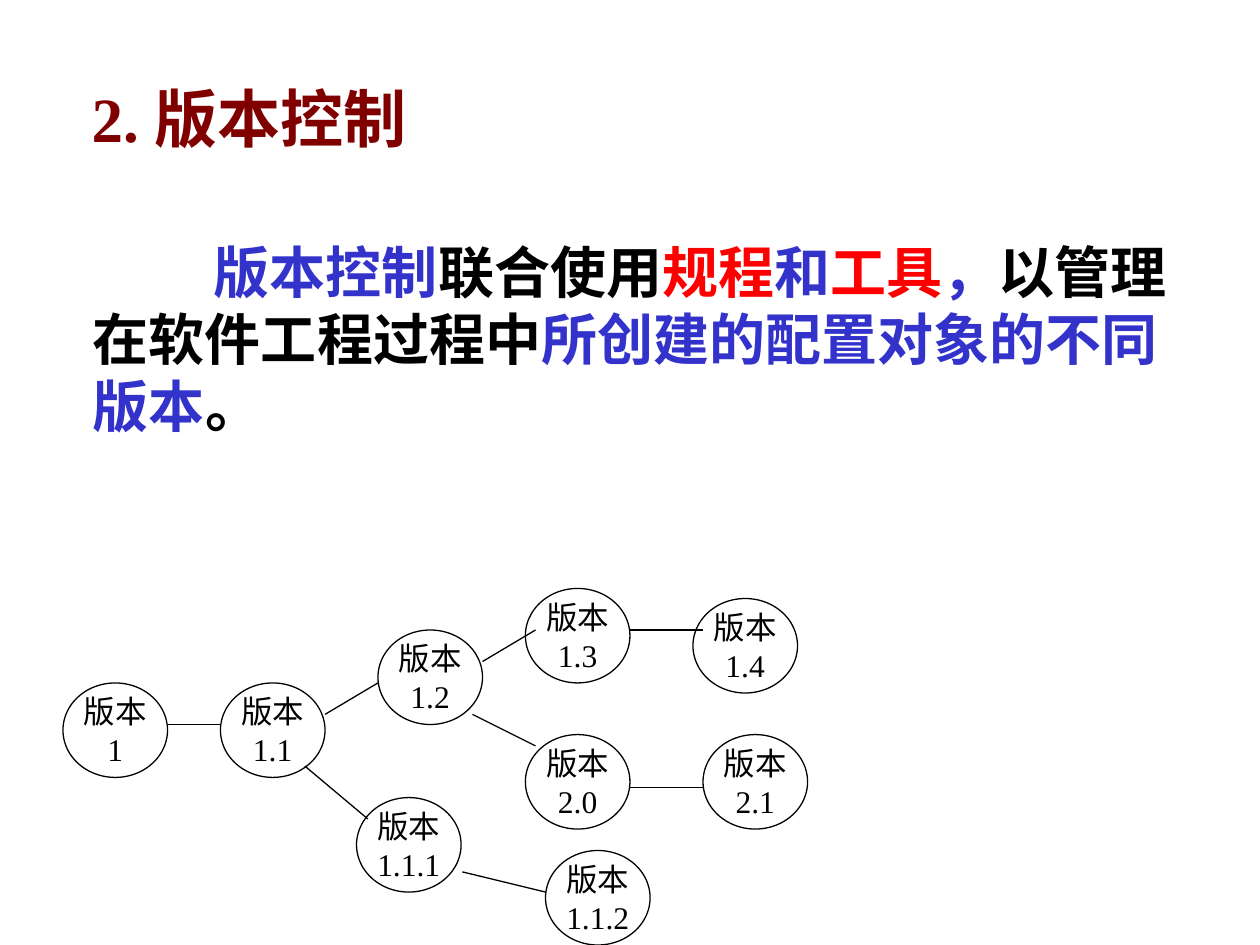
"""Build the version control slide with its version tree."""
from dataclasses import dataclass

from pptx import Presentation
from pptx.dml.color import RGBColor
from pptx.enum.shapes import MSO_CONNECTOR as Connector, MSO_SHAPE as Shape
from pptx.enum.text import MSO_ANCHOR as Anchor, PP_ALIGN as Align
from pptx.oxml.ns import qn
from pptx.util import Inches, Pt
from lxml.etree import SubElement


@dataclass(frozen=True)
class Theme:
    font: str = "Times New Roman"
    title_size: int = 36
    body_size: int = 32
    node_size: int = 18
    line_width: float = 0.75
    maroon: RGBColor = RGBColor(0x80, 0x00, 0x00)
    blue: RGBColor = RGBColor(0x33, 0x33, 0xCC)
    red: RGBColor = RGBColor(0xFF, 0x00, 0x00)
    black: RGBColor = RGBColor(0x00, 0x00, 0x00)
    white: RGBColor = RGBColor(0xFF, 0xFF, 0xFF)


THEME = Theme()
TITLE = [("2. 版本控制", THEME.maroon)]
BODY = [
    ("版本控制", THEME.blue),
    ("联合使用", THEME.black),
    ("规程", THEME.red),
    ("和", THEME.blue),
    ("工具", THEME.red),
    ("，", THEME.blue),
    ("以管理在软件工程过程中", THEME.black),
    ("所创建的配置对象的不同版本", THEME.blue),
    ("。", THEME.black),
]
NODE_LABEL = "版本"
NODE_SIZE = (0.83, 0.75)
VERSIONS = {
    "1.1.1": (2.83, 6.33),
    "1.1": (1.75, 5.42),
    "1": (0.5, 5.42),
    "1.1.2": (4.33, 6.75),
    "1.2": (3, 5),
    "1.4": (5.5, 4.75),
    "1.3": (4.17, 4.67),
    "2.0": (4.17, 5.83),
    "2.1": (5.58, 5.83),
}
LINKS = [
    (1.33, 5.75, 1.75, 5.75),
    (2.58, 5.67, 3, 5.42),
    (3.83, 5.25, 4.25, 5),
    (5, 5, 5.58, 5),
    (3.75, 5.67, 4.25, 5.92),
    (5, 6.25, 5.58, 6.25),
    (2.42, 6.08, 2.92, 6.5),
    (3.67, 6.92, 4.33, 7.08),
]


def write_paragraph(paragraph, runs, size, first_indent, space_before=0):
    properties = paragraph._p.get_or_add_pPr()
    properties.set("marL", str(Inches(0.31)))
    properties.set("indent", str(Inches(first_indent)))
    paragraph.space_before = Pt(space_before)
    paragraph.font.name = THEME.font
    paragraph.font.size = Pt(size)
    paragraph.font.bold = True
    for text, color in runs:
        run = paragraph.add_run()
        run.text = text
        run.font.color.rgb = color


def add_text(slide):
    box = slide.shapes.add_textbox(Inches(0.33), Inches(0.58), Inches(9.17), Inches(6.55))
    frame = box.text_frame
    frame.word_wrap = True
    write_paragraph(frame.paragraphs[0], TITLE, THEME.title_size, -0.01)
    write_paragraph(frame.add_paragraph(), BODY, THEME.body_size, 0.96, 47)


def add_version(slide, number, position):
    shape = slide.shapes.add_shape(Shape.OVAL, *map(Inches, position + NODE_SIZE))
    shape.shadow.inherit = False
    shape.fill.solid()
    shape.fill.fore_color.rgb = THEME.white
    shape.line.color.rgb = THEME.black
    shape.line.width = Pt(THEME.line_width)
    frame = shape.text_frame
    frame.word_wrap = False
    frame.vertical_anchor = Anchor.MIDDLE
    frame.text = f"{NODE_LABEL}\n{number}"
    for paragraph in frame.paragraphs:
        paragraph.alignment = Align.CENTER
        paragraph.font.name = THEME.font
        paragraph.font.size = Pt(THEME.node_size)
        paragraph.font.color.rgb = THEME.black


def add_link(slide, ends):
    connector = slide.shapes.add_connector(Connector.STRAIGHT, *map(Inches, ends))
    connector.line.color.rgb = THEME.black
    connector.line.width = Pt(THEME.line_width)
    SubElement(connector._element.spPr, qn("a:effectLst"))


def main():
    presentation = Presentation()
    presentation.slide_width = Inches(10)
    presentation.slide_height = Inches(7.5)
    slide = presentation.slides.add_slide(presentation.slide_layouts[6])
    add_text(slide)
    for number, position in VERSIONS.items():
        add_version(slide, number, position)
    for ends in LINKS:
        add_link(slide, ends)
    presentation.save("out.pptx")


if __name__ == "__main__":
    main()
